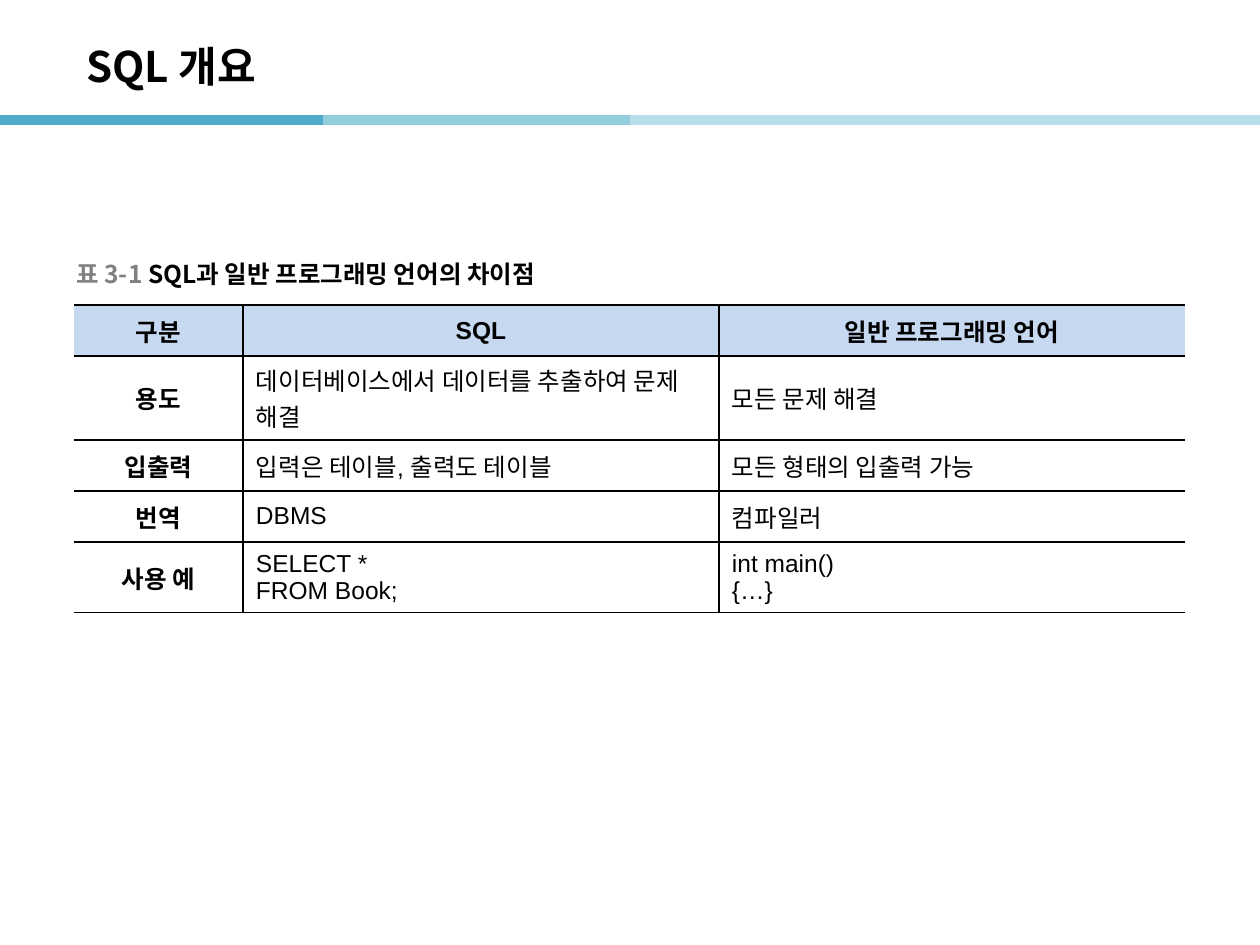
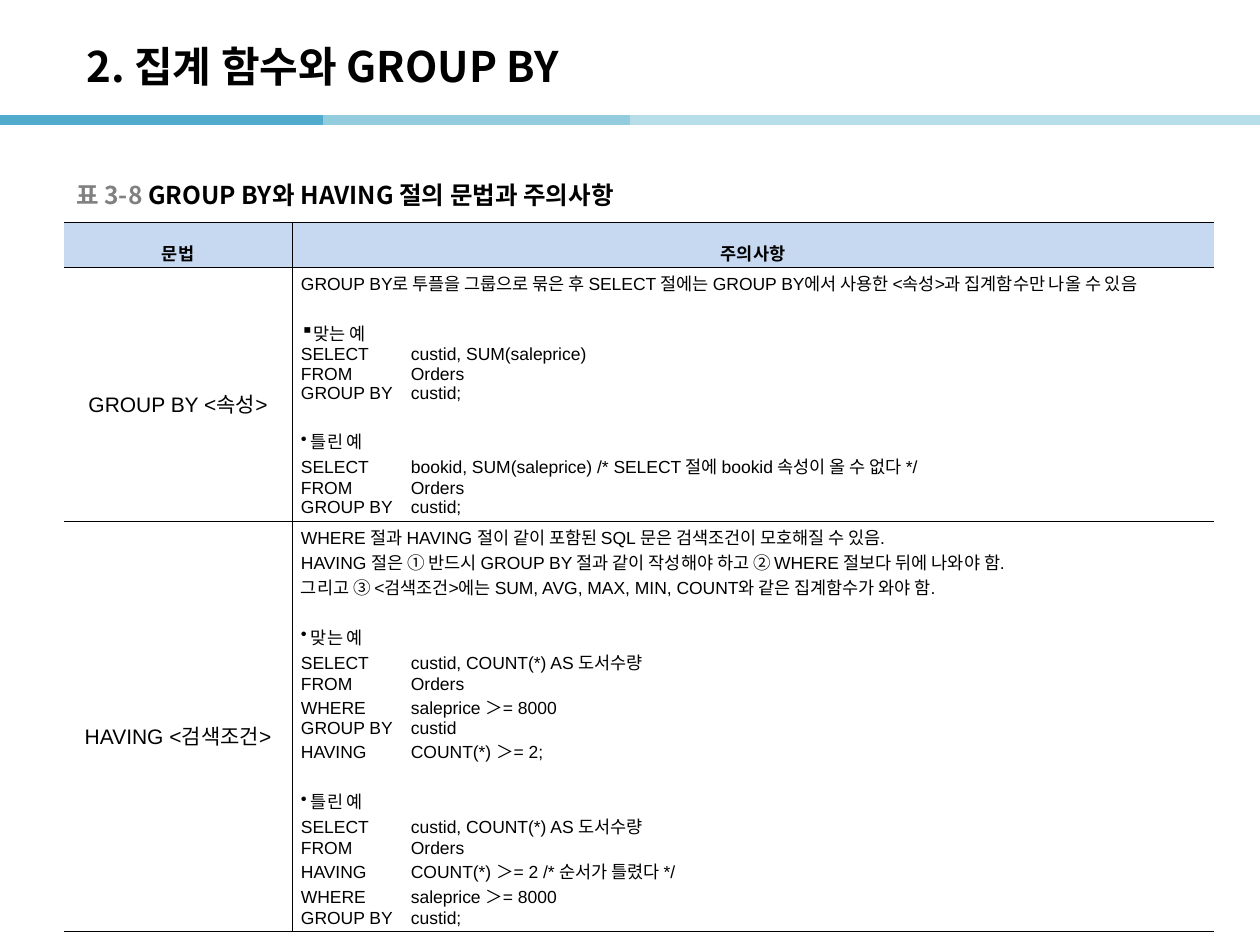
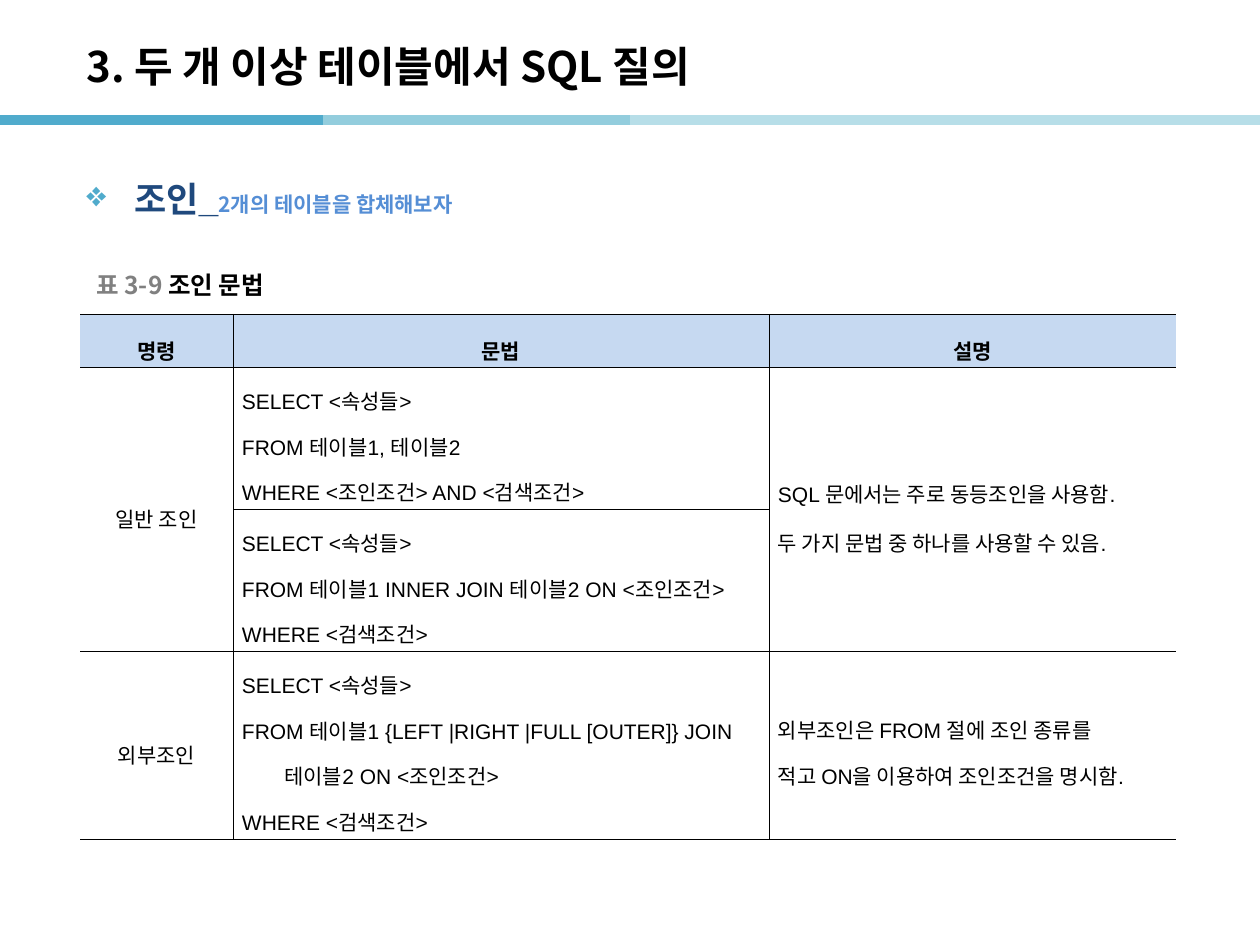
from dataclasses import dataclass

from lxml.etree import SubElement
from pptx import Presentation
from pptx.dml.color import RGBColor
from pptx.enum.shapes import MSO_CONNECTOR
from pptx.enum.text import MSO_ANCHOR, PP_ALIGN
from pptx.oxml import parse_xml
from pptx.oxml.ns import nsdecls, qn
from pptx.util import Emu, Pt

CENTER, LEFT, JUSTIFY = PP_ALIGN.CENTER, PP_ALIGN.LEFT, PP_ALIGN.JUSTIFY


@dataclass(frozen=True)
class Theme:
    """Colours, fonts and type sizes of the deck."""
    ink: str = "000000"
    muted: str = "808080"
    heading: str = "1F497D"
    subheading: str = "558ED5"
    header_fill: str = "C6D9F1"
    paper: str = "FFFFFF"
    accent: str = "50ABCC"
    band_middle: str = "93CDDD"
    band_light: str = "B7DEE8"
    body_font: str = "Arial"
    title_font: str = "Noto Sans CJK KR"
    title_size: int = 24
    heading_size: int = 20
    subheading_size: int = 12
    caption_size: int = 14
    band_weight: int = 6
    example_gap: int = 14


THEME = Theme()
SLIDE_SIZE = (1260, 945)
TITLE_BOX = (74, 28, 1042, 76)
HEADING_BOX = (74, 150, 1111, 83)
CAPTION_SIZE = (640, 39)
BAND_TOP = 120
BANDS = [
    (0, 323, THEME.accent),
    (323, 645, THEME.band_middle),
    (630, 1260, THEME.band_light),
]
HEADING_INDENT = 48
EXAMPLE_INDENT = 10
CODE_TAB = 110

SLIDES = [
    {
        "title": "SQL 개요",
        "caption": ("표 3-1 ", "SQL과 일반 프로그래밍 언어의 차이점"),
        "caption_origin": (64, 254),
        "table": {
            "origin": (74, 305),
            "columns": (169, 476, 466),
            "rows": (51, 84, 51, 51, 68),
            "margins": (13, 6),
            "border": 1,
            "body_fill": THEME.paper,
            "header_size": 14,
            "sizes": (14, 14, 14),
            "alignments": (CENTER, LEFT, LEFT),
            "bold_first_column": True,
            "cells": [
                ["구분", "SQL", "일반 프로그래밍 언어"],
                ["용도", "데이터베이스에서 데이터를 추출하여 문제 해결", "모든 문제 해결"],
                ["입출력", "입력은 테이블, 출력도 테이블", "모든 형태의 입출력 가능"],
                ["번역", "DBMS", "컴파일러"],
                ["사용 예", ["SELECT *", "FROM Book;"], ["int main()", "{…}"]],
            ],
        },
    },
    {
        "title": "2. 집계 함수와 GROUP BY",
        "caption": ("표 3-8 ", "GROUP BY와 HAVING 절의 문법과 주의사항"),
        "caption_origin": (64, 175),
        "table": {
            "origin": (64, 222),
            "columns": (228, 922),
            "rows": (45, 254, 410),
            "margins": (9, 3),
            "border": 0.28,
            "header_size": 10,
            "header_spacing": 1.6,
            "sizes": (12, 10),
            "alignments": (CENTER, LEFT),
            "spacings": (1.6, None),
            "cells": [
                ["문법", "주의사항"],
                ["GROUP BY <속성>", [
                    "GROUP BY로 투플을 그룹으로 묶은 후 SELECT 절에는 GROUP BY에서 사용한 <속성>과 집계함수만 나올 수 있음",
                    ("▪", "맞는 예"),
                    "SELECT\tcustid, SUM(saleprice)",
                    "FROM\tOrders",
                    "GROUP BY\tcustid;",
                    ("•", "틀린 예"),
                    "SELECT\tbookid, SUM(saleprice) /* SELECT 절에 bookid 속성이 올 수 없다 */",
                    "FROM\tOrders",
                    "GROUP BY\tcustid;",
                ]],
                ["HAVING <검색조건>", [
                    "WHERE 절과 HAVING 절이 같이 포함된 SQL 문은 검색조건이 모호해질 수 있음.",
                    "HAVING 절은 ① 반드시 GROUP BY 절과 같이 작성해야 하고 ② WHERE 절보다 뒤에 나와야 함.",
                    "그리고 ③ <검색조건>에는 SUM, AVG, MAX, MIN, COUNT와 같은 집계함수가 와야 함.",
                    ("•", "맞는 예"),
                    "SELECT\tcustid, COUNT(*) AS 도서수량",
                    "FROM\tOrders",
                    "WHERE\tsaleprice ＞= 8000",
                    "GROUP BY\tcustid",
                    "HAVING\tCOUNT(*) ＞= 2;",
                    ("•", "틀린 예"),
                    "SELECT\tcustid, COUNT(*) AS 도서수량",
                    "FROM\tOrders",
                    "HAVING\tCOUNT(*) ＞= 2 /* 순서가 틀렸다 */",
                    "WHERE\tsaleprice ＞= 8000",
                    "GROUP BY\tcustid;",
                ]],
            ],
        },
    },
    {
        "title": "3. 두 개 이상 테이블에서 SQL 질의",
        "heading": ("조인_", "2개의 테이블을 합체해보자"),
        "caption": ("표 3-9 ", "조인 문법"),
        "caption_origin": (84, 265),
        "table": {
            "origin": (80, 314),
            "columns": (153, 536, 407),
            "rows": (53, 142, 142, 188),
            "margins": (9, 3),
            "border": 0.28,
            "header_size": 12,
            "header_spacing": 1.6,
            "sizes": (12, 12, 12),
            "alignments": (CENTER, LEFT, JUSTIFY),
            "spacings": (1.6, 1.5, 1.6),
            "cell_spacings": {(3, 2): 1.5},
            "merges": [((1, 0), (2, 0)), ((1, 2), (2, 2))],
            "cells": [
                ["명령", "문법", "설명"],
                ["일반 조인",
                 ["SELECT <속성들>", "FROM 테이블1, 테이블2", "WHERE <조인조건> AND <검색조건>"],
                 ["SQL 문에서는 주로 동등조인을 사용함.", "두 가지 문법 중 하나를 사용할 수 있음."]],
                [None,
                 ["SELECT <속성들>", "FROM 테이블1 INNER JOIN 테이블2 ON <조인조건>", "WHERE <검색조건>"],
                 None],
                ["외부조인",
                 ["SELECT <속성들>", "FROM 테이블1 {LEFT |RIGHT |FULL [OUTER]} JOIN",
                  "         테이블2 ON <조인조건>", "WHERE <검색조건>"],
                 ["외부조인은 FROM 절에 조인 종류를", "적고 ON을 이용하여 조인조건을 명시함."]],
            ],
        },
    },
]


def px(length):
    return Emu(round(length * 914400 / 126))


def style_run(run, size, color, bold=True, font=THEME.title_font):
    run.font.name = font
    run.font.size = Pt(size)
    run.font.bold = bold
    run.font.color.rgb = RGBColor.from_string(color)
    SubElement(run.font._element, qn("a:ea"), typeface=THEME.title_font)


def add_bullet(paragraph, character, indent, color):
    properties = paragraph._p.get_or_add_pPr()
    properties.set("marL", str(px(indent)))
    properties.set("indent", str(-px(indent)))
    bullet_color = SubElement(properties, qn("a:buClr"))
    SubElement(bullet_color, qn("a:srgbClr"), val=color)
    SubElement(properties, qn("a:buChar"), char=character)


def add_code_tab(paragraph):
    tabs = SubElement(paragraph._p.get_or_add_pPr(), qn("a:tabLst"))
    SubElement(tabs, qn("a:tab"), pos=str(px(CODE_TAB)), algn="l")


def add_text(slide, box, runs, anchor=MSO_ANCHOR.MIDDLE):
    shape = slide.shapes.add_textbox(*map(px, box))
    frame = shape.text_frame
    frame.word_wrap = True
    frame.vertical_anchor = anchor
    paragraph = frame.paragraphs[0]
    for text, size, color, font in runs:
        run = paragraph.add_run()
        run.text = text
        style_run(run, size, color, font=font)
    return paragraph


def add_bands(slide):
    for start, end, color in BANDS:
        band = slide.shapes.add_connector(
            MSO_CONNECTOR.STRAIGHT, px(start), px(BAND_TOP), px(end), px(BAND_TOP))
        band.line.color.rgb = RGBColor.from_string(color)
        band.line.width = Pt(THEME.band_weight)
        SubElement(band._element.spPr, qn("a:effectLst"))


def add_heading(slide, heading):
    name, remark = heading
    paragraph = add_text(slide, HEADING_BOX, [
        (name, THEME.heading_size, THEME.heading, THEME.body_font),
        (remark, THEME.subheading_size, THEME.subheading, THEME.title_font),
    ], MSO_ANCHOR.TOP)
    paragraph.line_spacing = 1.5
    add_bullet(paragraph, "❖", HEADING_INDENT, THEME.accent)


def set_borders(cell, weight, visible):
    properties = cell._tc.get_or_add_tcPr()
    for index, side in enumerate("LRTB"):
        fill = "<a:noFill/>"
        if side in visible:
            fill = f'<a:solidFill><a:srgbClr val="{THEME.ink}"/></a:solidFill>'
        border = parse_xml(
            f'<a:ln{side} {nsdecls("a")} w="{Pt(weight)}">{fill}</a:ln{side}>')
        properties.insert(index, border)


def fill_cell(cell, content, size, alignment, spacing, bold):
    lines = [content] if isinstance(content, str) else content
    frame = cell.text_frame
    for index, line in enumerate(lines):
        bullet, text = line if isinstance(line, tuple) else (None, line)
        paragraph = frame.add_paragraph() if index else frame.paragraphs[0]
        paragraph.text = text
        paragraph.alignment = alignment
        if spacing:
            paragraph.line_spacing = spacing
        if bullet:
            paragraph.space_before = Pt(THEME.example_gap)
            add_bullet(paragraph, bullet, EXAMPLE_INDENT, THEME.ink)
        if "\t" in text:
            add_code_tab(paragraph)
        for run in paragraph.runs:
            style_run(run, size, THEME.ink, bold, THEME.body_font)


def format_cell(cell, row, column, spec):
    header = row == 0
    cell.vertical_anchor = MSO_ANCHOR.MIDDLE
    cell.margin_left = cell.margin_right = px(spec["margins"][0])
    cell.margin_top = cell.margin_bottom = px(spec["margins"][1])
    fill = THEME.header_fill if header else spec.get("body_fill")
    if fill:
        cell.fill.solid()
        cell.fill.fore_color.rgb = RGBColor.from_string(fill)
    else:
        cell.fill.background()
    inner_left = "L" if column else ""
    inner_right = "R" if column < len(spec["columns"]) - 1 else ""
    set_borders(cell, spec["border"], "TB" + inner_left + inner_right)
    content = spec["cells"][row][column]
    if content is None:
        return
    if header:
        fill_cell(cell, content, spec["header_size"], CENTER, spec.get("header_spacing"), True)
        return
    spacing = spec["spacings"][column] if "spacings" in spec else None
    spacing = spec.get("cell_spacings", {}).get((row, column), spacing)
    bold = column == 0 and spec.get("bold_first_column", False)
    fill_cell(cell, content, spec["sizes"][column], spec["alignments"][column], spacing, bold)


def add_grid(slide, spec):
    columns, rows = spec["columns"], spec["rows"]
    box = (*spec["origin"], sum(columns), sum(rows))
    table = slide.shapes.add_table(len(rows), len(columns), *map(px, box)).table
    table.first_row = table.horz_banding = False
    for column, width in zip(table.columns, columns):
        column.width = px(width)
    for row, height in zip(table.rows, rows):
        row.height = px(height)
    for first, last in spec.get("merges", []):
        table.cell(*first).merge(table.cell(*last))
    for row in range(len(rows)):
        for column in range(len(columns)):
            format_cell(table.cell(row, column), row, column, spec)


def build_slide(presentation, content):
    slide = presentation.slides.add_slide(presentation.slide_layouts[6])
    add_bands(slide)
    add_text(slide, TITLE_BOX,
             [(content["title"], THEME.title_size, THEME.ink, THEME.title_font)])
    add_grid(slide, content["table"])
    number, caption = content["caption"]
    add_text(slide, (*content["caption_origin"], *CAPTION_SIZE), [
        (number, THEME.caption_size, THEME.muted, THEME.title_font),
        (caption, THEME.caption_size, THEME.ink, THEME.title_font),
    ])
    if "heading" in content:
        add_heading(slide, content["heading"])


def main():
    """Build the SQL lecture slides and save them."""
    presentation = Presentation()
    presentation.slide_width, presentation.slide_height = map(px, SLIDE_SIZE)
    for content in SLIDES:
        build_slide(presentation, content)
    presentation.save("out.pptx")


if __name__ == "__main__":
    main()
